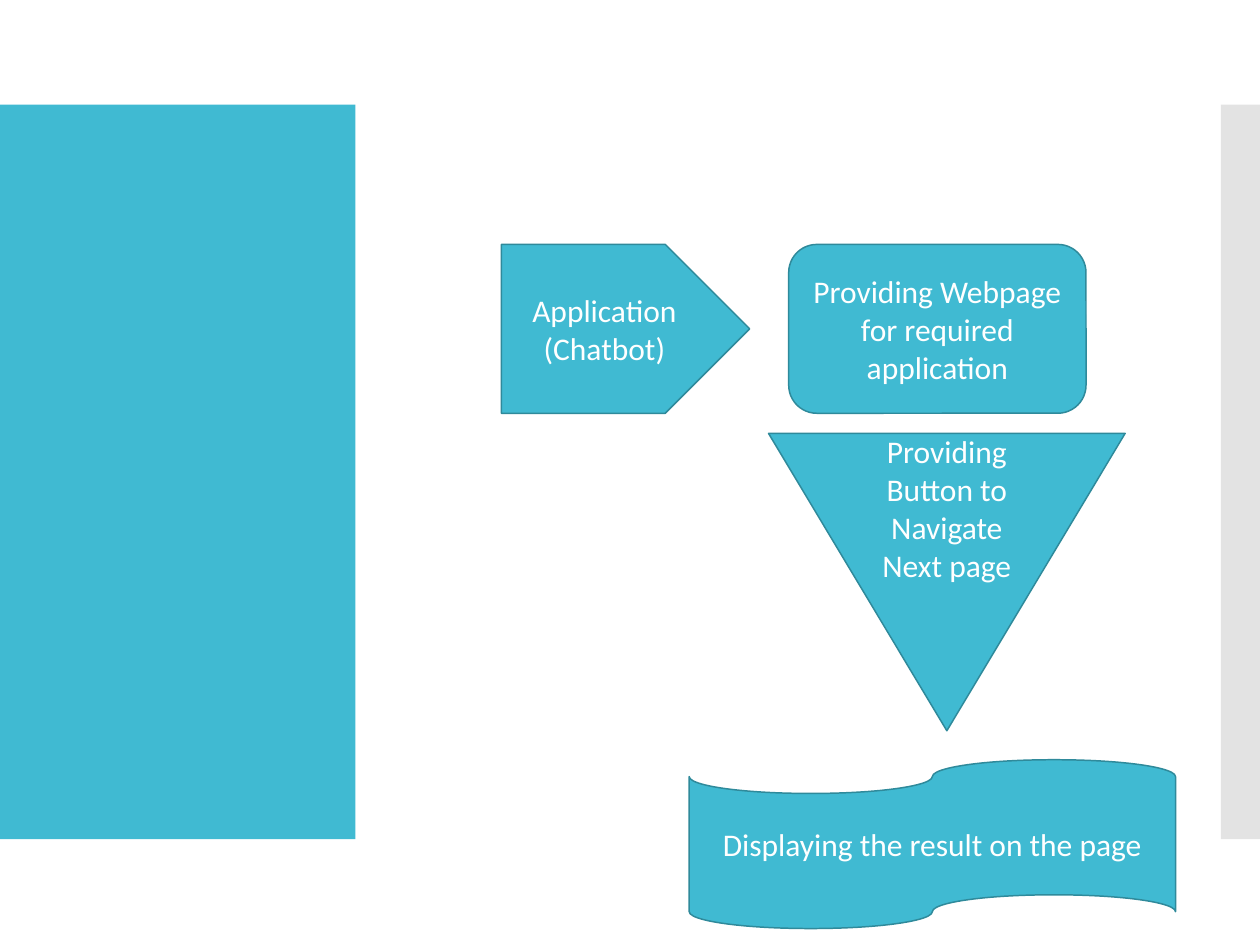
from lxml.etree import SubElement
from pptx import Presentation
from pptx.dml.color import RGBColor
from pptx.enum.shapes import MSO_SHAPE
from pptx.enum.text import MSO_ANCHOR, PP_ALIGN
from pptx.oxml.ns import qn
from pptx.util import Inches, Pt

COLORS = {
    "teal": "40BAD2",
    "outline": "2F8A9B",
    "grey": "C8C8C8",
    "white": "FFFFFF",
}
COLUMNS, ROWS = 100, 75


class SlideBuilder:
    """Draws on one slide; places are (left, top, width, height) in grid cells."""

    font = "Calibri"
    size = Pt(18)
    line_width = Pt(0.85)

    def __init__(self, presentation):
        self.slide = presentation.slides.add_slide(presentation.slide_layouts[6])
        self.column = presentation.slide_width / COLUMNS
        self.row = presentation.slide_height / ROWS

    def shape(self, kind, place, fill):
        left, top, width, height = place
        shape = self.slide.shapes.add_shape(
            kind,
            round(left * self.column), round(top * self.row),
            round(width * self.column), round(height * self.row))
        shape.shadow.inherit = False
        shape.fill.solid()
        shape.fill.fore_color.rgb = RGBColor.from_string(COLORS[fill])
        return shape

    def panel(self, place, fill, opacity=100):
        shape = self.shape(MSO_SHAPE.RECTANGLE, place, fill)
        shape.line.fill.background()
        if opacity < 100:
            color = shape.fill._xPr.find(qn("a:solidFill"))[0]
            SubElement(color, qn("a:alpha"), val=str(opacity * 1000))

    def step(self, kind, place, lines):
        """Add an outlined flow step with one centred paragraph per line."""
        shape = self.shape(kind, place, "teal")
        shape.line.color.rgb = RGBColor.from_string(COLORS["outline"])
        shape.line.width = self.line_width
        frame = shape.text_frame
        frame.word_wrap = True
        frame.vertical_anchor = MSO_ANCHOR.MIDDLE
        for index, line in enumerate(lines):
            paragraph = frame.add_paragraph() if index else frame.paragraphs[0]
            paragraph.alignment = PP_ALIGN.CENTER
            run = paragraph.add_run()
            run.text = line
            run.font.name = self.font
            run.font.size = self.size
            run.font.color.rgb = RGBColor.from_string(COLORS["white"])


def main():
    presentation = Presentation()
    presentation.slide_width = Inches(10)
    presentation.slide_height = Inches(7.5)
    builder = SlideBuilder(presentation)

    panel_top, panel_height = 8.3, 58.3
    builder.panel((0, panel_top, 28.2, panel_height), "teal")
    builder.panel((96.9, panel_top, 3.1, panel_height), "grey", opacity=50)

    first_row, step_height = 19.4, 13.4
    steps = [
        (MSO_SHAPE.PENTAGON, (39.8, first_row, 19.7, step_height),
         ["Application", "(Chatbot)"]),
        (MSO_SHAPE.ROUNDED_RECTANGLE, (62.6, first_row, 23.6, step_height),
         ["Providing Webpage for required application"]),
        (MSO_SHAPE.FLOWCHART_MERGE, (61, 34.4, 28.3, 23.6),
         ["Providing Button to Navigate", "Next page"]),
        (MSO_SHAPE.FLOWCHART_PUNCHED_TAPE, (54.7, 60.3, 38.6, step_height),
         ["Displaying the result on the page"]),
    ]
    for kind, place, lines in steps:
        builder.step(kind, place, lines)

    presentation.save("out.pptx")


if __name__ == "__main__":
    main()
